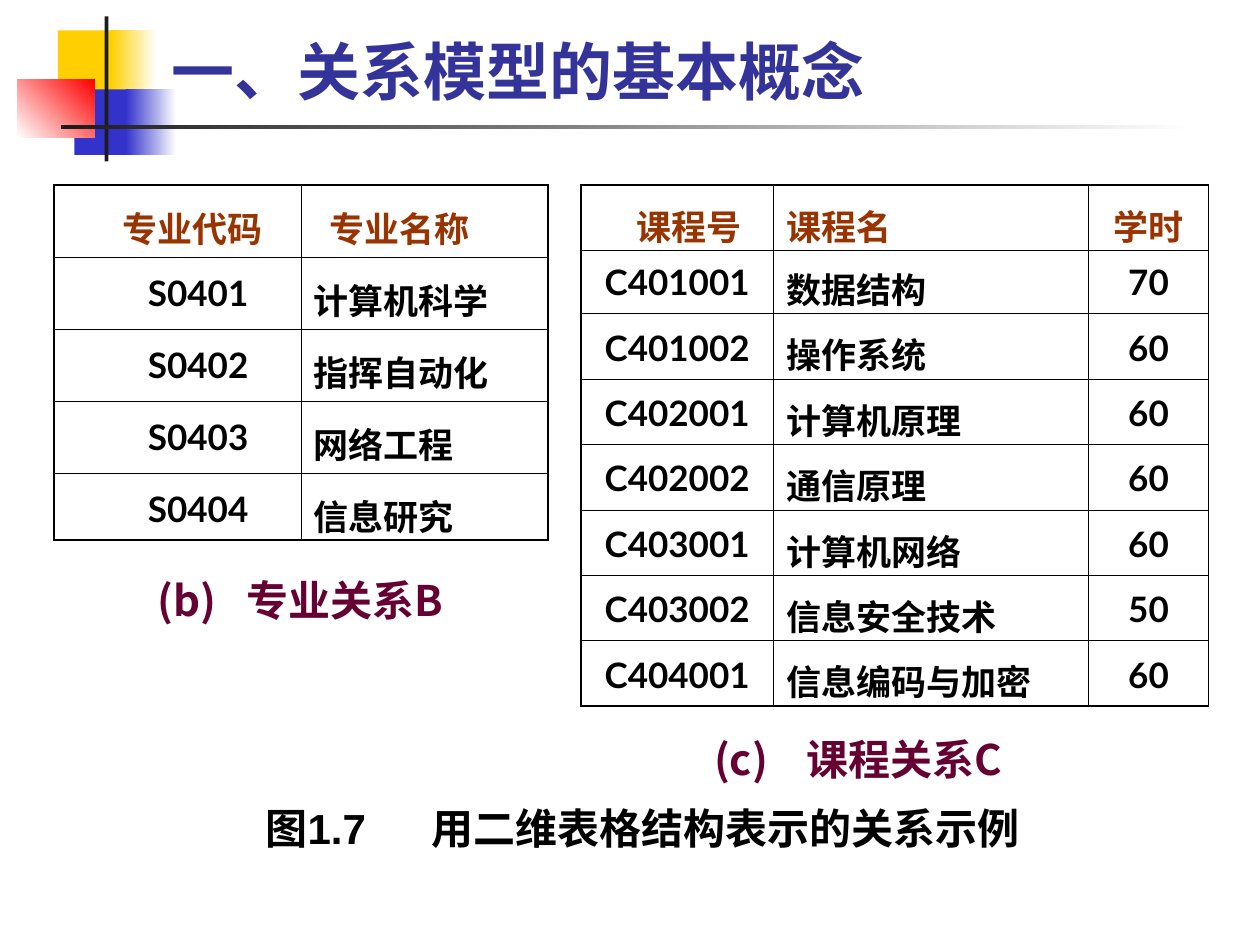
"""Build the slide that shows two relations as two-dimensional tables."""
from dataclasses import dataclass
from typing import Optional

from lxml import etree
from pptx import Presentation
from pptx.dml.color import RGBColor
from pptx.enum.shapes import MSO_SHAPE
from pptx.enum.text import MSO_ANCHOR, PP_ALIGN
from pptx.oxml.ns import qn
from pptx.util import Pt

RECT = MSO_SHAPE.RECTANGLE
LEFT, CENTER = PP_ALIGN.LEFT, PP_ALIGN.CENTER
BOTTOM, TOP = MSO_ANCHOR.BOTTOM, MSO_ANCHOR.TOP
CJK_FONT = "Noto Sans CJK SC"
BLACK, BROWN, PLUM, NAVY = "000000", "993300", "660033", "333399"
INSET_X, INSET_Y = 7.2, 3.6
CELL_LINE = 34.9
OUTER, INNER = 1.08, 0.45


@dataclass
class Block:
    x: float
    y: float
    w: float
    h: float
    color: str
    fade_to: Optional[str] = None
    angle: float = 0


@dataclass
class Column:
    width: float
    align: PP_ALIGN
    head_indent: float = 0
    body_indent: float = 0


@dataclass
class Relation:
    x: float
    y: float
    columns: list[Column]
    heights: list[float]
    rows: list[tuple[str, ...]]


@dataclass
class Caption:
    x: float
    y: float
    w: float
    h: float
    label: str
    text: str
    tab: float
    font: str
    color: str
    top: float = INSET_Y


BLOCKS = [
    Block(33.1, 17.3, 34.6, 37.4, "FFCF01"),
    Block(63.4, 17.3, 25.9, 37.4, "FFCF01", "FFFFFF"),
    Block(42.5, 51.1, 33.1, 37.4, "3333CC"),
    Block(72, 51.1, 28.8, 37.4, "3333CC", "FFFFFF"),
    Block(10.1, 45.4, 43.9, 33.1, "FFFFFF", "FF0000", 45),
    Block(59.8, 9.4, 2.2, 82.8, "1C1C1C"),
    Block(34.6, 71.3, 648, 2.2, "1C1C1C", "FFFFFF"),
]

RELATIONS = [
    Relation(
        31, 105.8,
        [Column(141.1, CENTER, 17, 23.4), Column(141.1, LEFT, 9)],
        [41.2] * 4 + [38.2],
        [
            ("专业代码", "专业名称"),
            ("S0401", "计算机科学"),
            ("S0402", "指挥自动化"),
            ("S0403", "网络工程"),
            ("S0404", "信息研究"),
        ],
    ),
    Relation(
        331.9, 105.8,
        [Column(110.2, CENTER, 13), Column(180, LEFT), Column(68.4, CENTER)],
        [37.4, 36] + [37.4] * 6,
        [
            ("课程号", "课程名", "学时"),
            ("C401001", "数据结构", "70"),
            ("C401002", "操作系统", "60"),
            ("C402001", "计算机原理", "60"),
            ("C402002", "通信原理", "60"),
            ("C403001", "计算机网络", "60"),
            ("C403002", "信息安全技术", "50"),
            ("C404001", "信息编码与加密", "60"),
        ],
    ),
]

CAPTIONS = [
    Caption(82.8, 324.7, 221.8, 36, "(b)", "专业关系B", 51, CJK_FONT, PLUM),
    Caption(401, 410.4, 252, 41, "(c)", "课程关系C", 53, CJK_FONT, PLUM, 8.6),
    Caption(144.7, 455, 486, 36, "图1.7", "用二维表格结构表示的关系示例", 95, "Arial", BLACK),
]


def rgb(color: str) -> RGBColor:
    return RGBColor.from_string(color)


def set_font(p, size: float, name: str, color: str) -> None:
    p.font.size, p.font.name, p.font.bold = Pt(size), name, True
    p.font.color.rgb = rgb(color)
    latin = p.font._element.find(qn("a:latin"))
    latin.addnext(latin.makeelement(qn("a:ea"), {"typeface": CJK_FONT}))


def set_border(cell, side: str, width: float) -> None:
    ln = etree.SubElement(cell._tc.get_or_add_tcPr(), qn(f"a:ln{side}"), w=str(Pt(width)))
    fill = etree.SubElement(ln, qn("a:solidFill"))
    etree.SubElement(fill, qn("a:srgbClr"), val=BLACK)


def draw_block(s, block: Block) -> None:
    sp = s.shapes.add_shape(RECT, Pt(block.x), Pt(block.y), Pt(block.w), Pt(block.h))
    sp.shadow.inherit = False
    sp.line.fill.background()
    if block.fade_to is None:
        sp.fill.solid()
        sp.fill.fore_color.rgb = rgb(block.color)
        return
    sp.fill.gradient()
    sp.fill.gradient_angle = block.angle
    for stop, color in zip(sp.fill.gradient_stops, (block.color, block.fade_to)):
        stop.color.rgb = rgb(color)


def draw_relation(s, rel: Relation) -> None:
    n_rows, n_cols = len(rel.rows), len(rel.columns)
    width = sum(col.width for col in rel.columns)
    table = s.shapes.add_table(
        n_rows, n_cols, Pt(rel.x), Pt(rel.y), Pt(width), Pt(sum(rel.heights))
    ).table
    table.first_row = table.horz_banding = False
    for i, col in enumerate(rel.columns):
        table.columns[i].width = Pt(col.width)
    for i, (height, texts) in enumerate(zip(rel.heights, rel.rows)):
        table.rows[i].height = Pt(height)
        for j, (col, text) in enumerate(zip(rel.columns, texts)):
            cell = table.cell(i, j)
            indent = col.body_indent if i else col.head_indent
            cell.margin_left = Pt(INSET_X + indent)
            cell.margin_top = Pt(min(INSET_Y, height - CELL_LINE))
            cell.margin_bottom = Pt(0)
            edges = {"L": j == 0, "R": j == n_cols - 1, "T": i == 0, "B": i == n_rows - 1}
            for side, outer in edges.items():
                set_border(cell, side, OUTER if outer else INNER)
            cell.fill.background()
            cell.text = text
            p = cell.text_frame.paragraphs[0]
            p.alignment, p.line_spacing = col.align, 1.2
            set_font(p, 20, "Lato", BLACK if i else BROWN)


def draw_caption(s, cap: Caption) -> None:
    sp = s.shapes.add_textbox(Pt(cap.x), Pt(cap.y), Pt(cap.w), Pt(cap.h))
    tf = sp.text_frame
    tf.word_wrap, tf.vertical_anchor, tf.margin_top = True, TOP, Pt(cap.top)
    p = tf.paragraphs[0]
    p.text = f"{cap.label}\t{cap.text}"
    tabs = etree.SubElement(p._p.get_or_add_pPr(), qn("a:tabLst"))
    etree.SubElement(tabs, qn("a:tab"), pos=str(Pt(cap.tab)), algn="l")
    set_font(p, 24, cap.font, cap.color)


def draw_title(s, text: str) -> None:
    sp = s.shapes.title
    sp.left, sp.top, sp.width, sp.height = Pt(90.7), Pt(16.6), Pt(613.4), Pt(49)
    tf = sp.text_frame
    tf.text, tf.vertical_anchor = text, BOTTOM
    p = tf.paragraphs[0]
    p.alignment = LEFT
    set_font(p, 36, "Lato", NAVY)


def main() -> None:
    prs = Presentation()
    prs.slide_width, prs.slide_height = Pt(720), Pt(540)
    s = prs.slides.add_slide(prs.slide_layouts[5])
    for block in BLOCKS:
        draw_block(s, block)
    draw_title(s, "一、关系模型的基本概念")
    for rel in RELATIONS:
        draw_relation(s, rel)
    for cap in CAPTIONS:
        draw_caption(s, cap)
    prs.save("out.pptx")


if __name__ == "__main__":
    main()
